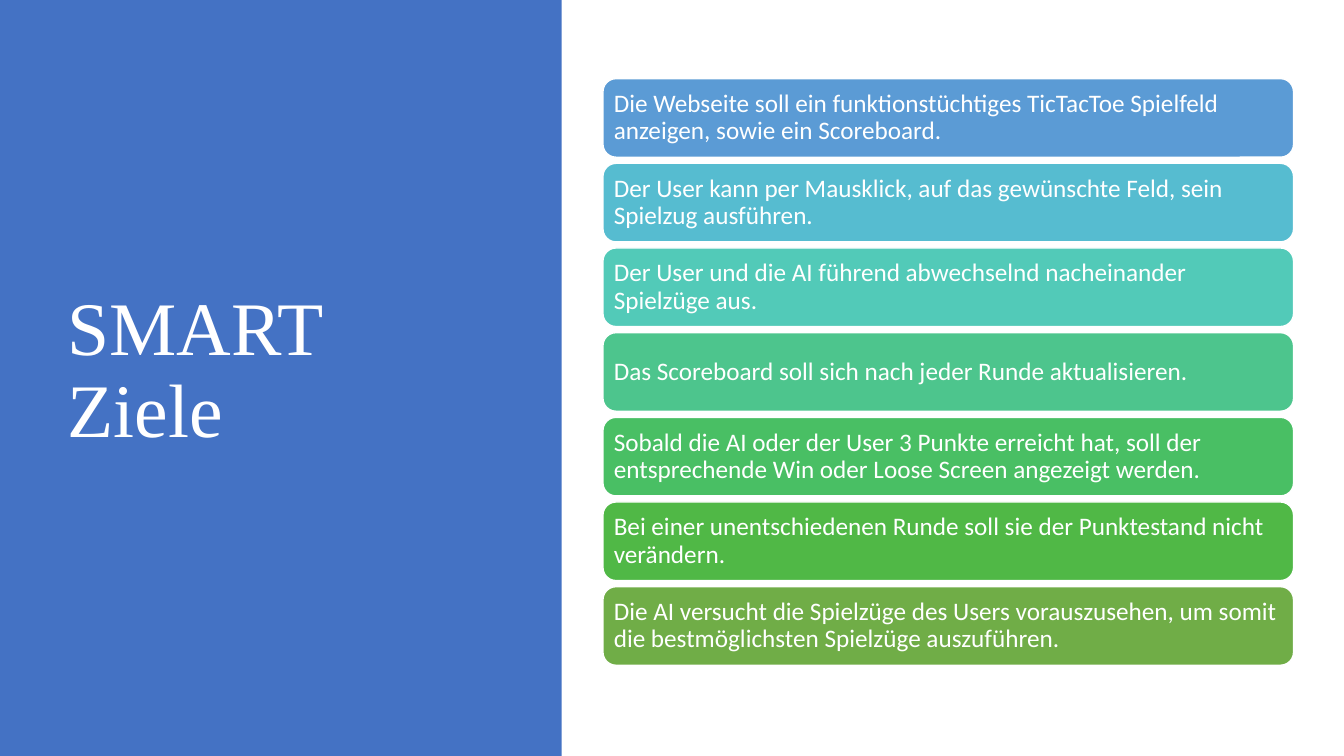
from pptx import Presentation
from pptx import util as u
from pptx.dml.color import RGBColor
from pptx.enum import shapes, text

COLORS = {"panel": "4472C4", "white": "FFFFFF"}
TITLE_FONT = {"name": "Times New Roman", "size": u.Pt(54)}
GOAL_FONT = {"name": "Calibri", "size": u.Pt(18)}
GOAL_FRAME = dict.fromkeys(
    ("margin_left", "margin_top", "margin_right", "margin_bottom"), u.Inches(0.07))
GOALS = [
    ("5B9BD5", "Die Webseite soll ein funktionstüchtiges TicTacToe Spielfeld anzeigen, "
               "sowie ein Scoreboard."),
    ("56BCD0", "Der User kann per Mausklick, auf das gewünschte Feld, sein Spielzug ausführen."),
    ("52CAB8", "Der User und die AI führend abwechselnd nacheinander Spielzüge aus."),
    ("4DC58D", "Das Scoreboard soll sich nach jeder Runde aktualisieren."),
    ("49BF64", "Sobald die AI oder der User 3 Punkte erreicht hat, soll der entsprechende "
               "Win oder Loose Screen angezeigt werden."),
    ("50B846", "Bei einer unentschiedenen Runde soll sie der Punktestand nicht verändern."),
    ("70AD47", "Die AI versucht die Spielzüge des Users vorauszusehen, um somit die "
               "bestmöglichsten Spielzüge auszuführen."),
]


def set_all(target, values):
    """Set every attribute named in values on target."""
    for name, value in values.items():
        setattr(target, name, value)


def write(shape, words, font, frame_format=None):
    """Put white, left-aligned, vertically centred words into a shape."""
    frame = shape.text_frame
    set_all(frame, {"text": words, "word_wrap": True,
                    "auto_size": text.MSO_AUTO_SIZE.NONE,
                    "vertical_anchor": text.MSO_ANCHOR.MIDDLE, **(frame_format or {})})
    paragraph = frame.paragraphs[0]
    set_all(paragraph, {"alignment": text.PP_ALIGN.LEFT, "line_spacing": 0.9})
    run = paragraph.runs[0]
    set_all(run.font, font)
    run.font.color.rgb = RGBColor.from_string(COLORS["white"])


def add_block(slide, kind, box, fill):
    """Add a filled shape without outline or shadow; box is in inches."""
    shape = slide.shapes.add_shape(kind, *map(u.Inches, box))
    shape.shadow.inherit = False
    shape.fill.solid()
    shape.fill.fore_color.rgb = RGBColor.from_string(fill)
    shape.line.fill.background()
    return shape


def build_title_panel(slide, box):
    """Fill the box with the blue panel and set the title on top of it."""
    left, top, width, height = box
    panel = add_block(slide, shapes.MSO_SHAPE.RECTANGLE, box, COLORS["panel"])
    title = slide.shapes.title
    title._element.addprevious(panel._element)
    set_all(title, {"left": u.Inches(left + 0.57), "top": u.Inches(top + 0.68),
                    "width": u.Inches(width - 1.41), "height": u.Inches(height - 1.48)})
    write(title, "SMART Ziele", TITLE_FONT)


def build_goals(slide, box, gap=0.06):
    """Stack the goals as equal rounded bars that fill the box."""
    left, top, width, height = box
    bar_height = (height - gap * (len(GOALS) - 1)) / len(GOALS)
    for index, (fill, words) in enumerate(GOALS):
        bar_box = (left, top + index * (bar_height + gap), width, bar_height)
        bar = add_block(slide, shapes.MSO_SHAPE.ROUNDED_RECTANGLE, bar_box, fill)
        bar.line.color.rgb = RGBColor.from_string(COLORS["white"])
        bar.line.width = u.Pt(1)
        write(bar, words, GOAL_FONT, GOAL_FRAME)


def main():
    """Build the slide and save the presentation."""
    presentation = Presentation()
    presentation.slide_width = u.Inches(13.33)
    presentation.slide_height = u.Inches(7.5)
    slide = presentation.slides.add_slide(presentation.slide_layouts.get_by_name("Title Only"))
    build_title_panel(slide, (0, 0, 5.57, 7.5))
    build_goals(slide, (5.98, 0.78, 6.85, 5.82))
    presentation.save("out.pptx")


main()
